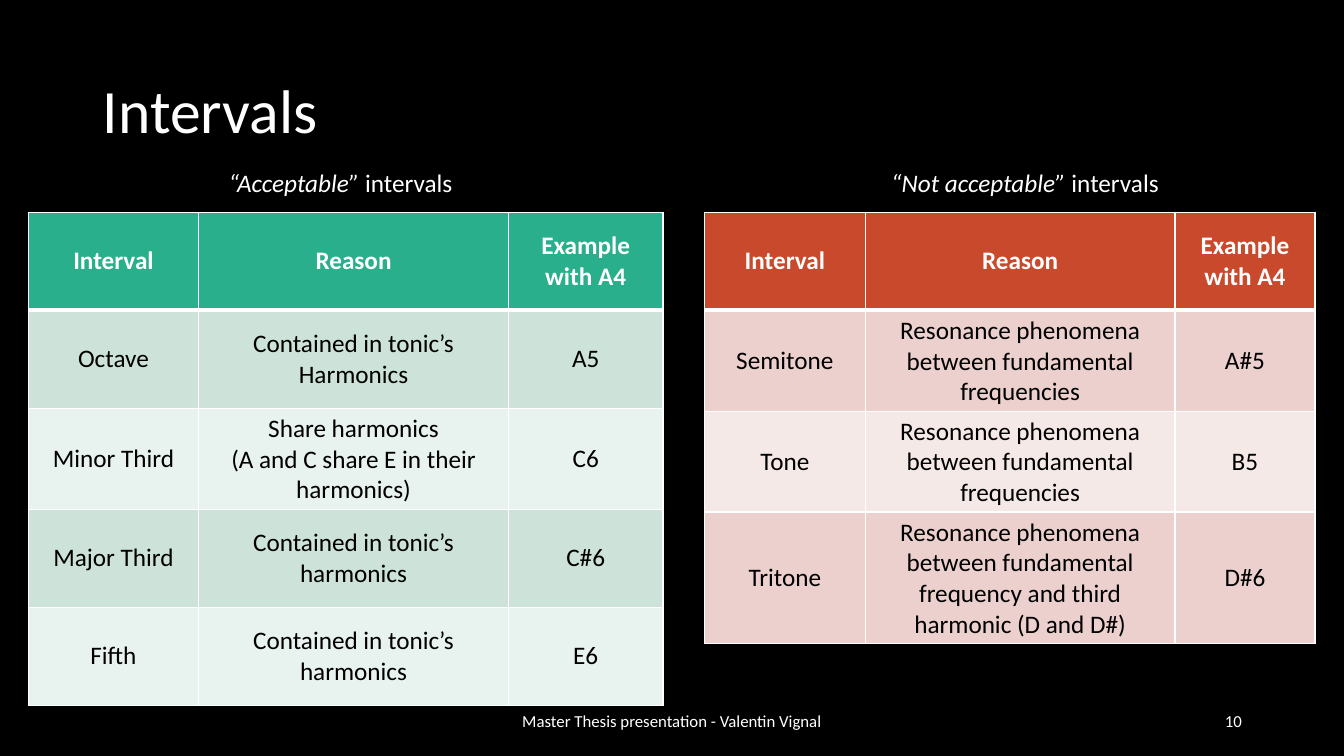
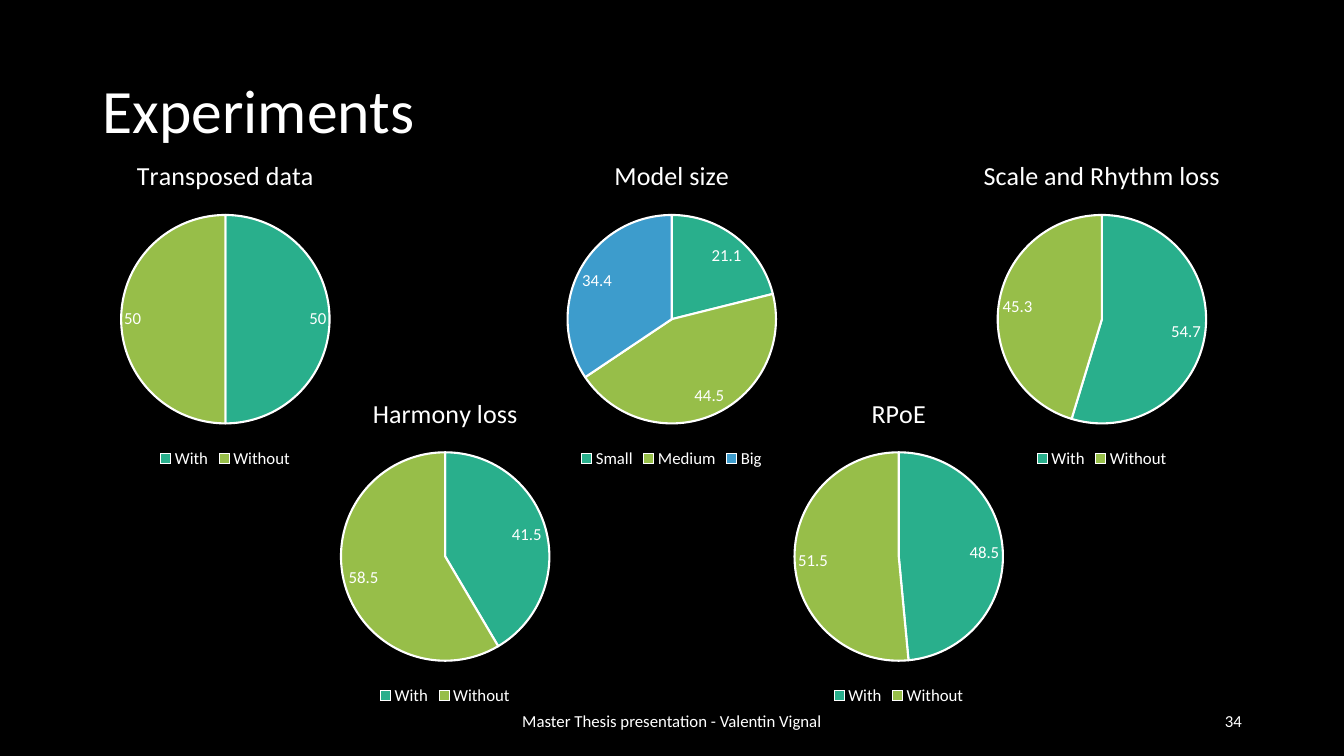
"""Build the Intervals and Experiments slides of a thesis presentation."""
from lxml.etree import SubElement
from pptx import Presentation
from pptx.chart.data import CategoryChartData
from pptx.dml.color import RGBColor
from pptx.enum.chart import XL_CHART_TYPE as ChartType
from pptx.enum.chart import XL_LABEL_POSITION as LabelPosition
from pptx.enum.chart import XL_LEGEND_POSITION as LegendPosition
from pptx.enum.text import MSO_ANCHOR as Anchor
from pptx.enum.text import PP_ALIGN as Align
from pptx.oxml.ns import qn
from pptx.util import Cm, Pt

COLORS = {
    "background": "000000", "light": "FFFFFF", "dark": "000000",
    "teal": "29AF8C", "lime": "97BE49", "blue": "3D9CCC",
    "teal band": "CDE3DA", "teal pale": "E8F2EE",
    "red": "C9492C", "red band": "EBD0CD", "red pale": "F5E9E8",
}
FONT = "Calibri"
FOOTER = "Master Thesis presentation - Valentin Vignal"
HEADINGS = ("Interval", "Reason", "Example with A4")
SLICES = ("teal", "lime", "blue")
ROW_HEIGHT = 2.47
CHART_WIDTH, CHART_HEIGHT = 9.9, 8.36


def rgb(name):
    return RGBColor.from_string(COLORS[name])


def style_font(font, size, color="light", bold=False):
    font.name, font.size, font.bold = FONT, Pt(size), bold
    font.color.rgb = rgb(color)


def draw_border(cell, side, width):
    line = SubElement(cell._tc.get_or_add_tcPr(), qn(f"a:ln{side}"), w=str(Pt(width)))
    fill = SubElement(line, qn("a:solidFill"))
    SubElement(fill, qn("a:srgbClr"), val=COLORS["light"])


class SlideBuilder:
    def __init__(self):
        self.deck = Presentation()
        self.deck.slide_width, self.deck.slide_height = Cm(33.87), Cm(19.05)
        self.page = None

    def start(self, title, number):
        self.page = self.deck.slides.add_slide(self.deck.slide_layouts[6])
        fill = self.page.background.fill
        fill.solid()
        fill.fore_color.rgb = rgb("background")
        self.text([title], 2.34, 1.02, 29.21, 3.68, 44).line_spacing = 0.9
        self.text([FOOTER], 11.22, 17.65, 11.43, 1.02, 12, Align.CENTER)
        self.text([str(number)], 23.93, 17.65, 7.62, 1.02, 12, Align.RIGHT)

    def text(self, parts, left, top, width, height, size, align=Align.LEFT):
        box = self.page.shapes.add_textbox(Cm(left), Cm(top), Cm(width), Cm(height))
        frame = box.text_frame
        frame.word_wrap = True
        frame.vertical_anchor = Anchor.MIDDLE
        para = frame.paragraphs[0]
        para.alignment = align
        style_font(para.font, size)
        for part in parts:
            para.add_run().text = part
        return para

    def caption(self, quoted, rest, center):
        width = 9
        para = self.text([quoted, rest], center - width / 2, 4.08, width, 1.02, 18, Align.CENTER)
        para.runs[0].font.italic = True

    def table(self, left, widths, rows, tone):
        grid = [HEADINGS, *rows]
        frame = self.page.shapes.add_table(
            len(grid), len(widths), Cm(left), Cm(5.35), Cm(sum(widths)), Cm(ROW_HEIGHT * len(grid)))
        table = frame.table
        table.horz_banding = False
        for column, width in zip(table.columns, widths):
            column.width = Cm(width)
        for row_index, values in enumerate(grid):
            table.rows[row_index].height = Cm(ROW_HEIGHT)
            for column_index, value in enumerate(values):
                self.cell(table.cell(row_index, column_index), value, row_index, tone)

    def cell(self, cell, value, row_index, tone):
        header = row_index == 0
        cell.text = value
        cell.vertical_anchor = Anchor.MIDDLE
        for para in cell.text_frame.paragraphs:
            para.alignment = Align.CENTER
            style_font(para.font, 18, "light" if header else "dark", header)
        for side in "LRTB":
            heavy = (side, row_index) in (("B", 0), ("T", 1))
            draw_border(cell, side, 3 if heavy else 1)
        shade = tone if header else f"{tone} {'band' if row_index % 2 else 'pale'}"
        cell.fill.solid()
        cell.fill.fore_color.rgb = rgb(shade)

    def pie(self, title, center, top, values, categories=("With", "Without")):
        data = CategoryChartData()
        data.categories = categories
        data.add_series(title, values)
        chart = self.page.shapes.add_chart(
            ChartType.PIE, Cm(center - CHART_WIDTH / 2), Cm(top),
            Cm(CHART_WIDTH), Cm(CHART_HEIGHT), data).chart
        style_font(chart.font, 12)
        chart.has_title = True
        chart.chart_title.include_in_layout = False
        heading = chart.chart_title.text_frame
        heading.text = title
        style_font(heading.paragraphs[0].font, 18.6)
        chart.has_legend = True
        chart.legend.position = LegendPosition.BOTTOM
        chart.legend.include_in_layout = False
        style_font(chart.legend.font, 12)
        plot = chart.plots[0]
        plot.vary_by_categories = True
        plot.has_data_labels = True
        labels = plot.data_labels
        labels.show_value, labels.show_percentage = True, False
        labels.position = LabelPosition.BEST_FIT
        style_font(labels.font, 12)
        for index, color in zip(range(len(values)), SLICES):
            form = plot.series[0].points[index].format
            form.fill.solid()
            form.fill.fore_color.rgb = rgb(color)
            form.line.color.rgb = rgb("light")
            form.line.width = Pt(1.5)


def build_intervals(builder):
    builder.start("Intervals", 10)
    builder.caption("“Acceptable”", " intervals", 8.58)
    builder.caption("“Not acceptable”", " intervals", 25.83)
    builder.table(0.71, (4.3, 7.8, 3.9), [
        ("Octave", "Contained in tonic’s Harmonics", "A5"),
        ("Minor Third", "Share harmonics\n(A and C share E in their harmonics)", "C6"),
        ("Major Third", "Contained in tonic’s harmonics", "C#6"),
        ("Fifth", "Contained in tonic’s harmonics", "E6"),
    ], "teal")
    resonance = "Resonance phenomena between fundamental "
    builder.table(17.75, (4.06, 7.8, 3.53), [
        ("Semitone", resonance + "frequencies", "A#5"),
        ("Tone", resonance + "frequencies", "B5"),
        ("Tritone", resonance + "frequency and third harmonic (D and D#)", "D#6"),
    ], "red")


def build_experiments(builder):
    builder.start("Experiments", 34)
    upper, lower = 3.55, 9.53
    builder.pie("Transposed data", 5.68, upper, (50, 50))
    builder.pie("Model size", 16.93, upper, (21.1, 44.5, 34.4), ("Small", "Medium", "Big"))
    builder.pie("Scale and Rhythm loss", 27.77, upper, (54.7, 45.3))
    builder.pie("Harmony loss", 11.22, lower, (41.5, 58.5))
    builder.pie("RPoE", 22.65, lower, (48.5, 51.5))


def main():
    builder = SlideBuilder()
    build_intervals(builder)
    build_experiments(builder)
    builder.deck.save("out.pptx")


if __name__ == "__main__":
    main()
